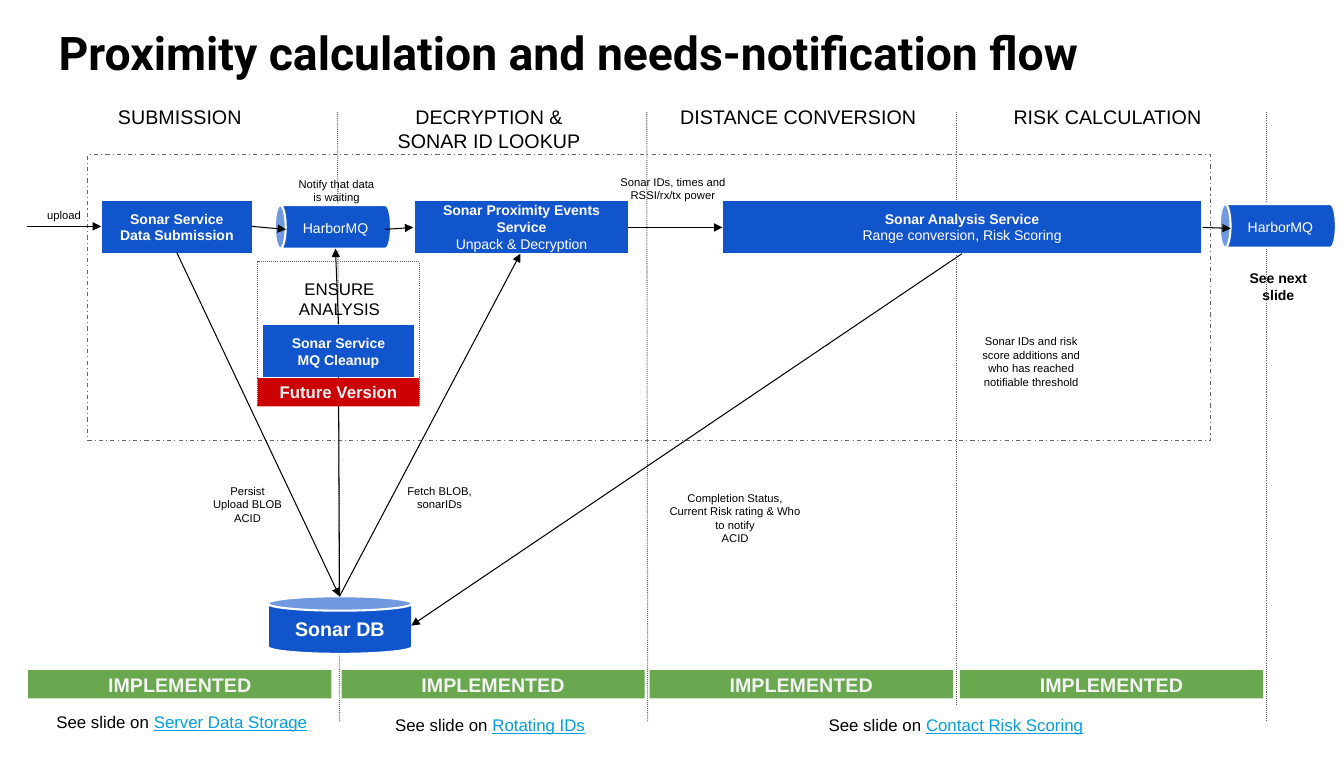
"""Build the slide on the proximity calculation and notification flow."""
from lxml import etree
from pptx import Presentation
from pptx.dml.color import RGBColor
from pptx.enum.dml import MSO_LINE
from pptx.enum.shapes import MSO_CONNECTOR, MSO_SHAPE
from pptx.enum.text import MSO_ANCHOR, MSO_AUTO_SIZE, PP_ALIGN
from pptx.oxml.ns import qn
from pptx.util import Inches, Pt

BLACK = RGBColor(0x00, 0x00, 0x00)
WHITE = RGBColor(0xFF, 0xFF, 0xFF)
PALE = RGBColor(0xF3, 0xF3, 0xF3)
GREY = RGBColor(0x66, 0x66, 0x66)
BLUE = RGBColor(0x11, 0x55, 0xCC)
GREEN = RGBColor(0x6A, 0xA8, 0x4F)
RED = RGBColor(0xCC, 0x00, 0x00)
SKY = RGBColor(0x00, 0x9F, 0xDF)
RECT, CAN = MSO_SHAPE.RECTANGLE, MSO_SHAPE.CAN
STRAIGHT = MSO_CONNECTOR.STRAIGHT
TOP, MIDDLE = MSO_ANCHOR.TOP, MSO_ANCHOR.MIDDLE
LEFT, CENTER = PP_ALIGN.LEFT, PP_ALIGN.CENTER
FIXED = MSO_AUTO_SIZE.NONE
DOT, DASHDOT = MSO_LINE.ROUND_DOT, MSO_LINE.DASH_DOT

STEP = 3.06
QUEUE = "HarborMQ"
HEADS = ["SUBMISSION", "DECRYPTION &\nSONAR ID LOOKUP",
         "DISTANCE CONVERSION", "RISK CALCULATION"]
RULES = [(3.34, 3.36, 7.14), (6.4, 6.41, 7.14),
         (9.47, 9.47, 6.97), (12.53, 12.53, 7.14)]
BARS = [0.28, 3.38, 6.43, 9.5]
LINKS = [(0.31, 6.94, 2.98, "Server Data Storage"),
         (3.36, 6.97, 2.98, "Rotating IDs"),
         (6.4, 6.97, 6.12, "Contact Risk Scoring")]
STEPS = [
    (1, 1.98, 1.5, "Sonar Service\nData Submission", True),
    (4.1, 1.98, 2.12,
     "Sonar Proximity Events Service\nUnpack & Decryption", False),
    (7.15, 1.98, 4.74,
     "Sonar Analysis Service\nRange conversion, Risk Scoring", False),
    (2.6, 3.21, 1.5, "Sonar Service\nMQ Cleanup", True),
]
ARROWS = [
    (0.27, 2.24, 1, 2.24), (1.75, 2.5, 3.36, 5.9),
    (2.49, 2.24, 2.83, 2.27), (3.81, 2.27, 4.09, 2.25),
    (6.21, 2.25, 7.15, 2.25), (3.36, 5.9, 5.15, 2.51),
    (9.52, 2.51, 4.07, 6.19), (3.36, 5.9, 3.35, 3.73),
    (3.35, 3.21, 3.32, 2.46), (11.9, 2.25, 12.18, 2.26),
]
NOTES = [
    (0.28, 1.96, 0.71, 0.28, "upload"),
    (1.8, 4.69, 1.3, 0.53, "Persist\nUpload BLOB\nACID"),
    (6.51, 4.76, 1.53, 0.57,
     "Completion Status, Current Risk rating & Who to notify\nACID"),
    (3.84, 4.69, 1.02, 0.53, "Fetch BLOB, sonarIDs"),
    (2.82, 1.65, 1.02, 0.28, "Notify that data is waiting"),
    (6.01, 1.63, 1.3, 0.28, "Sonar IDs, times and RSSI/rx/tx power"),
    (9.6, 3.21, 1.21, 0.28, "Sonar IDs and risk score additions and "
     "who has reached notifiable threshold"),
]


def add_run(para, text, size, color, bold, font):
    """Add one run to a paragraph and return its font."""
    run = para.add_run()
    run.text = text
    face = run.font
    face.size, face.bold, face.name = Pt(size), bold, font
    face.color.rgb = color
    return face


def write(shape, text, size=8, color=BLACK, bold=False, rest=None, link="",
          font="Arial", align=CENTER, anchor=TOP, inset=0.1):
    """Fill a shape with text, where rest is the weight of later lines."""
    frame = shape.text_frame
    frame.word_wrap = True
    frame.auto_size = FIXED
    frame.vertical_anchor = anchor
    frame.margin_left = frame.margin_right = Inches(inset)
    frame.margin_top = frame.margin_bottom = Inches(inset)
    for i, line in enumerate(text.split("\n")):
        para = frame.add_paragraph() if i else frame.paragraphs[0]
        para.alignment = align
        weight = rest if i and rest is not None else bold
        add_run(para, line, size, color, weight, font)
    if link:
        add_run(para, link, size, SKY, bold, font).underline = True


def add_label(shapes, x, y, w, h, text, **style):
    """Add a text box."""
    box = shapes.add_textbox(Inches(x), Inches(y), Inches(w), Inches(h))
    write(box, text, **style)


def add_box(shapes, x, y, w, h, kind=RECT, fill=None, line=None,
            width=0.75, dash=None):
    """Add a preset shape with its fill and outline."""
    box = shapes.add_shape(kind, Inches(x), Inches(y), Inches(w), Inches(h))
    box.shadow.inherit = False
    if fill is None:
        box.fill.background()
    else:
        box.fill.solid()
        box.fill.fore_color.rgb = fill
    if line is None:
        box.line.fill.background()
    else:
        box.line.color.rgb = line
        box.line.width = Pt(width)
        box.line.dash_style = dash
    return box


def add_line(shapes, x1, y1, x2, y2, color=BLACK, dash=None, arrow=True):
    """Add a straight line, with or without an arrowhead."""
    line = shapes.add_connector(STRAIGHT, Inches(x1), Inches(y1),
                                Inches(x2), Inches(y2))
    line.line.color.rgb = color
    line.line.width = Pt(0.75)
    line.line.dash_style = dash
    props = line._element.spPr
    if arrow:
        etree.SubElement(props.find(qn("a:ln")), qn("a:tailEnd"),
                         type="triangle")
    etree.SubElement(props, qn("a:effectLst"))


def add_bar(shapes, x, y, w, text, fill, size):
    """Add a status bar."""
    bar = add_box(shapes, x, y, w, 0.28, fill=fill)
    write(bar, text, size=size, color=PALE, bold=True, anchor=MIDDLE)


def add_queue(shapes, x, y):
    """Add a message queue: a can on its side with its name."""
    group = shapes.add_group_shape().shapes
    can = add_box(group, x + 0.25, y, 0.43, 1.15, CAN, BLUE, WHITE, 1.5)
    can.rotation = 270
    add_label(group, x, y + 0.4, 0.98, 0.39, QUEUE, size=10, color=WHITE)


def add_frame(shapes):
    """Add the frames, dotted rules and stage headings."""
    add_box(shapes, 0.87, 1.53, 11.11, 2.83, line=GREY, dash=DASHDOT)
    add_box(shapes, 2.55, 2.59, 1.6, 1.42, line=GREY, dash=DOT)
    for x1, x2, end in RULES:
        add_line(shapes, x1, 1.11, x2, end, GREY, DOT, arrow=False)
    for i, head in enumerate(HEADS):
        add_label(shapes, 0.28 + i * STEP, 0.94, 3, 0.35, head, size=14)


def add_flow(shapes):
    """Add the services, queues, store and arrows."""
    for x, y, w, text, rest in STEPS:
        box = add_box(shapes, x, y, w, 0.53, fill=BLUE, line=WHITE)
        write(box, text, size=10, color=WHITE, bold=True, rest=rest,
              anchor=MIDDLE)
    store = add_box(shapes, 2.65, 5.9, 1.43, 0.57, CAN, BLUE, WHITE, 1.5)
    write(store, "Sonar DB", size=14, color=WHITE, bold=True, anchor=MIDDLE)
    add_queue(shapes, 2.83, 1.67)
    add_queue(shapes, 12.18, 1.66)
    for ends in ARROWS:
        add_line(shapes, *ends)


def main():
    """Build and save the slide."""
    deck = Presentation()
    deck.slide_width, deck.slide_height = Inches(13.3), Inches(7.5)
    slide = deck.slides.add_slide(deck.slide_layouts[5])
    shapes = slide.shapes
    title = shapes.title
    title.left, title.top = Inches(0.45), Inches(0.1)
    title.width, title.height = Inches(12.39), Inches(0.83)
    write(title, "Proximity calculation and needs-notification flow", size=33,
          bold=True, font="Roboto", align=LEFT, anchor=MIDDLE, inset=0.13)
    add_frame(shapes)
    add_flow(shapes)
    for note in NOTES:
        add_label(shapes, *note)
    add_label(shapes, 12.14, 2.57, 1.02, 0.53, "See next slide", size=10,
              bold=True)
    add_label(shapes, 2.56, 2.66, 1.6, 0.43, "ENSURE ANALYSIS", size=12)
    add_bar(shapes, 2.55, 3.74, 1.6, "Future Version", RED, 12)
    for x in BARS:
        add_bar(shapes, x, 6.63, 3, "IMPLEMENTED", GREEN, 14)
    for x, y, w, link in LINKS:
        add_label(shapes, x, y, w, 0.35, "See slide on ", size=12, link=link)
    deck.save("out.pptx")


if __name__ == "__main__":
    main()
